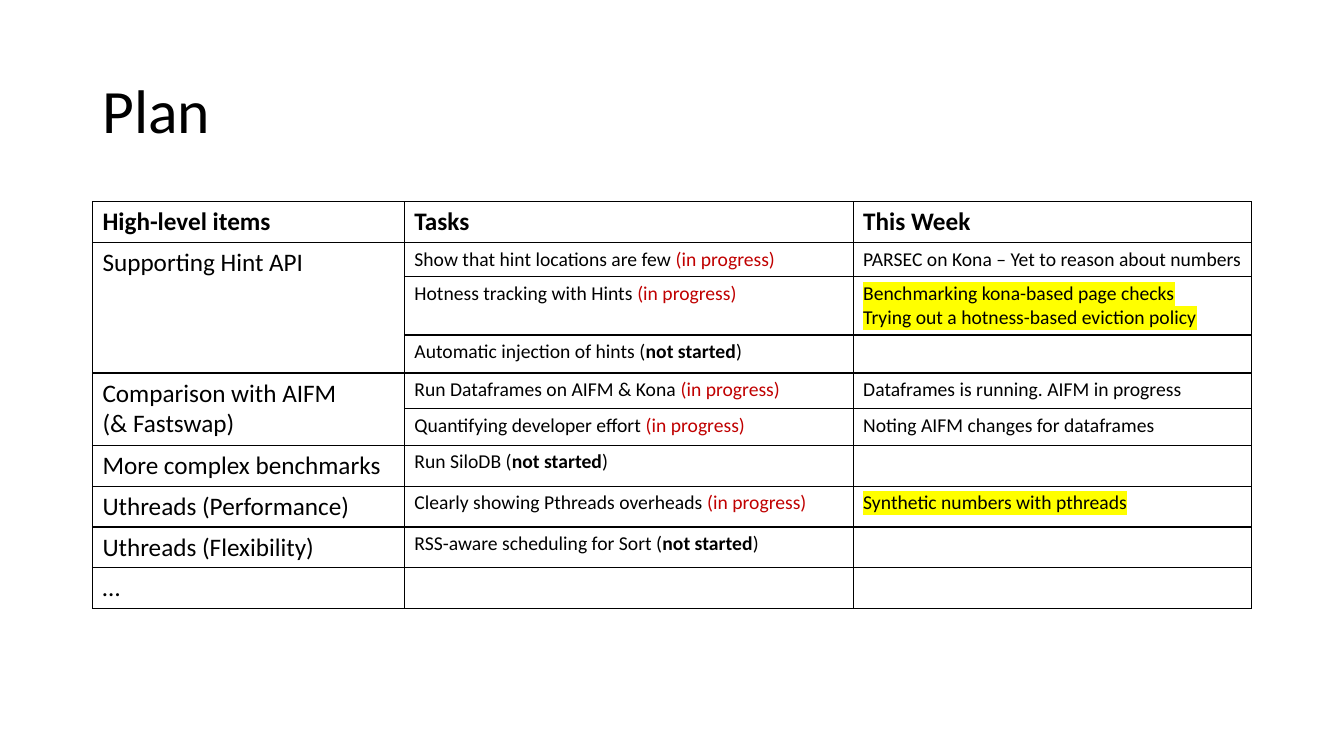
from dataclasses import dataclass

from lxml.etree import SubElement
from pptx import Presentation
from pptx.dml.color import RGBColor as RGB
from pptx.enum.text import MSO_ANCHOR as ANCHOR, PP_ALIGN as ALIGN
from pptx.oxml.ns import qn
from pptx.util import Cm, Pt


@dataclass(frozen=True)
class Theme:
    font: str = "Calibri"
    ink: str = "000000"
    status: str = "C00000"
    marker: str = "FFFF00"
    title: int = 44
    item: int = 18
    task: int = 14
    border: int = 1


theme = Theme()


def add_run(p, text, size, color=theme.ink, bold=False, marked=False):
    r = p.add_run()
    r.text = text
    r.font.size = Pt(size)
    r.font.bold = bold
    r.font.color.rgb = RGB.from_string(color)
    if marked:
        highlight = SubElement(r.font._element, qn("a:highlight"))
        SubElement(highlight, qn("a:srgbClr"), val=theme.marker)
    r.font.name = theme.font


def style_cell(cell):
    tc_pr = cell._tc.get_or_add_tcPr()
    for side in ("lnL", "lnR", "lnT", "lnB"):
        ln = SubElement(tc_pr, qn(f"a:{side}"), w=str(Pt(theme.border)))
        fill = SubElement(ln, qn("a:solidFill"))
        SubElement(fill, qn("a:srgbClr"), val=theme.ink)
    cell.fill.background()
    cell.margin_right = Cm(0.2)


prs = Presentation()
prs.slide_width, prs.slide_height = Cm(33.87), Cm(19.05)
slide = prs.slides.add_slide(prs.slide_layouts[5])

title = slide.shapes.title
title.left, title.top, title.width, title.height = Cm(2.33), Cm(1.01), Cm(29.21), Cm(3.68)
tf = title.text_frame
tf.vertical_anchor = ANCHOR.MIDDLE
p = tf.paragraphs[0]
p.alignment = ALIGN.LEFT
p.line_spacing = 0.9
add_run(p, "Plan", theme.title)

headers = ["High-level items", "Tasks", "This Week"]
ONGOING, PENDING = "in progress", "not started"
plan = [
    (["Supporting Hint API"], [
        ("Show that hint locations are few ", ONGOING,
         ["PARSEC on Kona – Yet to reason about numbers"], False, 0.86),
        ("Hotness tracking with Hints ", ONGOING,
         ["Benchmarking kona-based page checks",
          "Trying out a hotness-based eviction policy"], True, 1.47),
        ("Automatic injection of hints ", PENDING, [], False, 0.96),
    ]),
    (["Comparison with AIFM", "(& Fastswap)"], [
        ("Run Dataframes on AIFM & Kona ", ONGOING,
         ["Dataframes is running. AIFM in progress"], False, 0.9),
        ("Quantifying developer effort ", ONGOING,
         ["Noting AIFM changes for dataframes"], False, 0.92),
    ]),
    (["More complex benchmarks"], [("Run SiloDB ", PENDING, [], False, 1.03)]),
    (["Uthreads (Performance)"], [
        ("Clearly showing Pthreads overheads ", ONGOING,
         ["Synthetic numbers with pthreads"], True, 1.03),
    ]),
    (["Uthreads (Flexibility)"], [
        ("RSS-aware scheduling for Sort ", PENDING, [], False, 1.03),
    ]),
    (["…"], [("", "", [], False, 1.03)]),
]

row_count = 1 + sum(len(tasks) for _, tasks in plan)
frame = slide.shapes.add_table(row_count, 3, Cm(2.33), Cm(5.08), Cm(29.21), Cm(10.26))
table = frame.table
table.first_row = table.horz_banding = False
for column, width in zip(table.columns, (7.86, 11.31, 10.04)):
    column.width = Cm(width)
for cell in table.iter_cells():
    style_cell(cell)

table.rows[0].height = Cm(1.03)
for col, header in enumerate(headers):
    add_run(table.cell(0, col).text_frame.paragraphs[0], header, theme.item, bold=True)

row = 1
for item_lines, tasks in plan:
    item = table.cell(row, 0)
    if len(tasks) > 1:
        item.merge(table.cell(row + len(tasks) - 1, 0))
    for i, line in enumerate(item_lines):
        tf = item.text_frame
        p = tf.add_paragraph() if i else tf.paragraphs[0]
        add_run(p, line, theme.item)

    for task, status, notes, marked, height in tasks:
        table.rows[row].height = Cm(height)
        p = table.cell(row, 1).text_frame.paragraphs[0]
        if status == ONGOING:
            add_run(p, task, theme.task)
            add_run(p, f"({status})", theme.task, color=theme.status)
        elif status == PENDING:
            add_run(p, f"{task}(", theme.task)
            add_run(p, status, theme.task, bold=True)
            add_run(p, ")", theme.task)
        tf = table.cell(row, 2).text_frame
        for i, note in enumerate(notes):
            p = tf.add_paragraph() if i else tf.paragraphs[0]
            add_run(p, note, theme.task, marked=marked)
        if not notes:
            SubElement(tf.paragraphs[0]._p, qn("a:endParaRPr"), sz=str(theme.task * 100))
        row += 1

prs.save("out.pptx")
